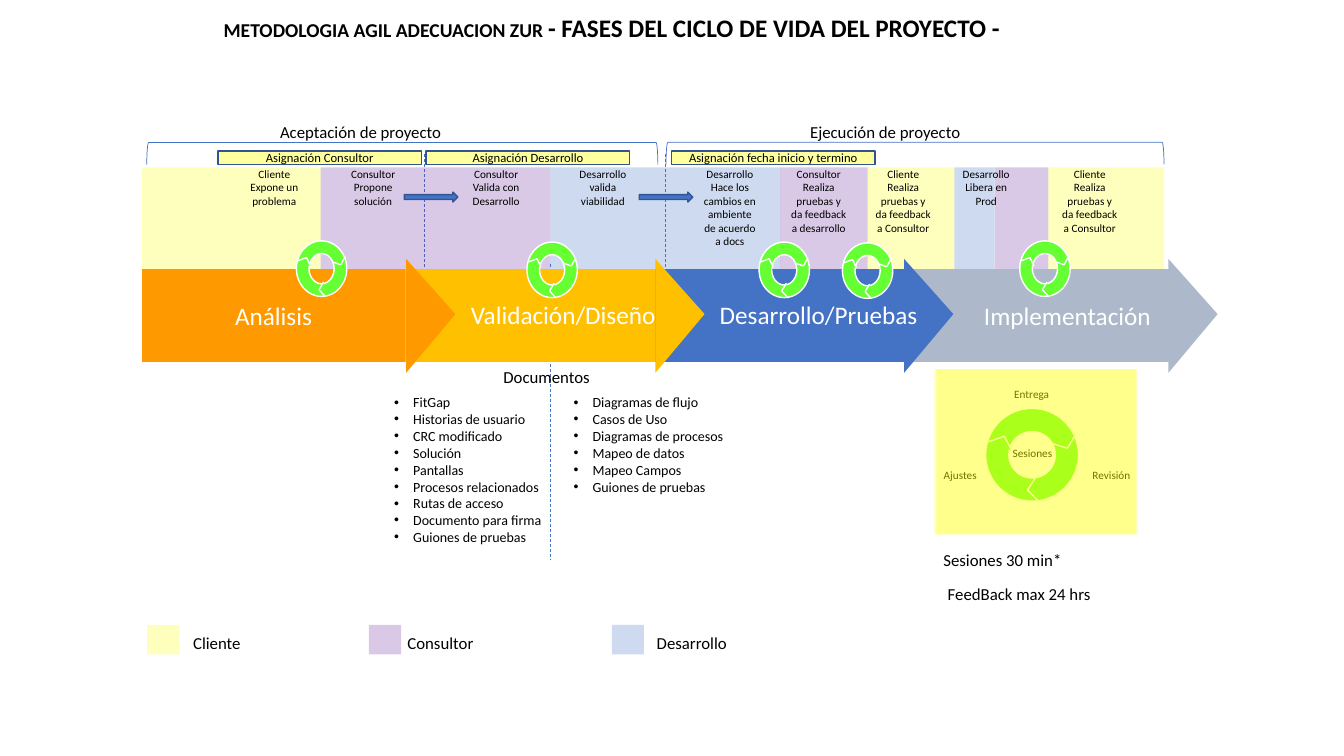
from lxml import etree
from pptx import Presentation
from pptx.dml.color import RGBColor
from pptx.enum.dml import MSO_LINE
from pptx.enum.shapes import MSO_CONNECTOR, MSO_SHAPE
from pptx.enum.text import MSO_ANCHOR, MSO_AUTO_SIZE, PP_ALIGN
from pptx.oxml.ns import qn
from pptx.util import Cm, Pt

RECT, DONUT = MSO_SHAPE.RECTANGLE, MSO_SHAPE.DONUT
TRIANGLE, ARROW = MSO_SHAPE.ISOSCELES_TRIANGLE, MSO_SHAPE.DOWN_ARROW
BRACKET = MSO_SHAPE.RIGHT_BRACKET
STRAIGHT, DASH = MSO_CONNECTOR.STRAIGHT, MSO_LINE.DASH
TOP, NO_FIT = MSO_ANCHOR.TOP, MSO_AUTO_SIZE.NONE
LEFT, CENTER = PP_ALIGN.LEFT, PP_ALIGN.CENTER

YELLOW, PURPLE, BLUE = "FFFF00", "7030A0", "4472C4"
ORANGE, GOLD, GRAY, GREEN = "FF9900", "FFC000", "ADB9CA", "66FF33"
WHITE, BLACK, NAVY = "FFFFFF", "000000", "325491"


def paint(shape, fill=None, alpha=100, edge=None, width=1):
    """Set fill, opacity in percent and outline, without shadow."""
    shape.shadow.inherit = False
    if fill:
        shape.fill.solid()
        shape.fill.fore_color.rgb = RGBColor.from_string(fill)
        if alpha < 100:
            color = shape.fill._xPr.find(qn("a:solidFill"))[0]
            etree.SubElement(color, qn("a:alpha")).set("val", str(alpha * 1000))
    else:
        shape.fill.background()
    if edge:
        shape.line.color.rgb = RGBColor.from_string(edge)
        shape.line.width = Pt(width)
    else:
        shape.line.fill.background()


def write(frame, lines, size, color=BLACK, align=CENTER, wrap=False):
    frame.word_wrap = wrap
    frame.auto_size = NO_FIT
    for i, line in enumerate(lines):
        para = frame.add_paragraph() if i else frame.paragraphs[0]
        para.text = line
        para.alignment = align
        para.space_before = Pt(0)
        para.font.size = Pt(size)
        para.font.name = "Calibri"
        para.font.color.rgb = RGBColor.from_string(color)


prs = Presentation()
prs.slide_width, prs.slide_height = Cm(33.87), Cm(19.05)
slide = prs.slides.add_slide(prs.slide_layouts[3])
shapes = slide.shapes
title, docs, tests = slide.placeholders

# Title
title.left, title.top, title.width, title.height = map(Cm, (5.38, 0.18, 26.04, 1.02))
title.text_frame.vertical_anchor = TOP
write(title.text_frame, ["METODOLOGIA AGIL ADECUACION ZUR "], 14, align=LEFT, wrap=True)
head = title.text_frame.paragraphs[0]
head.font.bold = True
tail = head.add_run()
tail.text = "- FASES DEL CICLO DE VIDA DEL PROYECTO -"
tail.font.size = Pt(18)

# Document lists
for body, x, width, height, items in (
    (docs, 9.68, 4.29, 4.11,
     ["FitGap", "Historias de usuario", "CRC modificado", "Solución", "Pantallas",
      "Procesos relacionados", "Rutas de acceso", "Documento para firma",
      "Guiones de pruebas"]),
    (tests, 14.2, 4.42, 2.82,
     ["Diagramas de flujo", "Casos de Uso", "Diagramas de procesos",
      "Mapeo de datos", "Mapeo Campos", "Guiones de pruebas"]),
):
    body.left, body.top, body.width, body.height = map(Cm, (x, 9.8, width, height))
    write(body.text_frame, items, 10, align=LEFT, wrap=True)
    for para in body.text_frame.paragraphs:
        props = para._p.get_or_add_pPr()
        props.set("marL", str(Cm(0.48)))
        props.set("indent", str(-Cm(0.48)))
        etree.SubElement(props, qn("a:buFont")).set("typeface", "Arial")
        etree.SubElement(props, qn("a:buChar")).set("char", "•")

# Dashed dividers
for x, top, end in ((13.87, 6.65, 14.12), (10.69, 3.89, 6.73), (16.76, 3.89, 6.73)):
    line = shapes.add_connector(STRAIGHT, Cm(x), Cm(top), Cm(x), Cm(end))
    line.line.color.rgb = RGBColor.from_string(BLUE)
    line.line.width = Pt(0.5)
    line.line.dash_style = DASH
    etree.SubElement(line._element.spPr, qn("a:effectLst"))

# Bands by role
edges = (3.58, 8.08, 13.87, 19.66, 21.87, 24.05, 25.07, 26.42, 29.34)
roles = (YELLOW, PURPLE, BLUE, PURPLE, YELLOW, BLUE, PURPLE, YELLOW)
for x, end, color in zip(edges, edges[1:], roles):
    paint(shapes.add_shape(RECT, Cm(x), Cm(4.22), Cm(end - x), Cm(4.9)), color, 26)

# Phase bars from last to first, then their arrow tips
phases = (
    (23.04, 6.5, 28.63, GRAY),
    (16.52, 6.5, 21.97, BLUE),
    (10.01, 6.5, 15.7, GOLD),
    (3.58, 6.63, 9.42, ORANGE),
)
for x, width, _, color in phases:
    bar = shapes.add_shape(RECT, Cm(x), Cm(6.78), Cm(width), Cm(2.34))
    paint(bar, color)
write(bar.text_frame, ["Análisis"], 18, WHITE)
for _, _, x, color in phases:
    tip = shapes.add_shape(TRIANGLE, Cm(x), Cm(7.34), Cm(2.87), Cm(1.24))
    tip.rotation = 90
    tip.adjustments[0] = 0.485
    paint(tip, color)

# Brackets and step arrows
for kind, x, y, width, height, fill, edge, weight in (
    (BRACKET, 9.86, -2.57, 0.56, 12.88, None, BLUE, 0.5),
    (BRACKET, 22.78, -2.41, 0.56, 12.55, None, BLUE, 0.5),
    (ARROW, 10.74, 4.29, 0.25, 1.35, BLUE, NAVY, 1),
    (ARROW, 16.66, 4.29, 0.25, 1.35, BLUE, NAVY, 1),
):
    mark = shapes.add_shape(kind, Cm(x), Cm(y), Cm(width), Cm(height))
    mark.rotation = 270
    paint(mark, fill, edge=edge, width=weight)

# Assignment tags
for x, text in ((5.49, "Asignación Consultor"), (10.74, "Asignación Desarrollo"),
                (16.92, "Asignación fecha inicio y termino")):
    tag = shapes.add_shape(RECT, Cm(x), Cm(3.81), Cm(5.13), Cm(0.33))
    paint(tag, YELLOW, 38, NAVY)
    write(tag.text_frame, [text], 9, wrap=True)

# Steps, with the number of lines each one takes
for x, rows, text in (
    (5.94, 3, "Cliente Expone un problema"),
    (8.43, 3, "Consultor Propone solución"),
    (11.53, 3, "Consultor Valida con Desarrollo"),
    (14.22, 3, "Desarrollo valida viabilidad"),
    (17.42, 6, "Desarrollo Hace los cambios en ambiente de acuerdo a docs"),
    (19.66, 5, "Consultor Realiza pruebas y da feedback a desarrollo"),
    (21.79, 5, "Cliente Realiza pruebas y da feedback a Consultor"),
    (23.88, 3, "Desarrollo Libera en Prod"),
    (26.49, 5, "Cliente Realiza pruebas y da feedback a Consultor"),
):
    step = shapes.add_textbox(Cm(x), Cm(4.09), Cm(1.95), Cm(0.24 + 0.34 * rows))
    write(step.text_frame, [text], 8, wrap=True)

# One-line labels
for x, y, width, height, size, color, text in (
    (11.58, 7.42, 5.23, 1.02, 18, WHITE, "Validación/Diseño"),
    (17.86, 7.42, 5.54, 1.02, 18, WHITE, "Desarrollo/Pruebas"),
    (24.51, 7.44, 4.78, 1.02, 18, WHITE, "Implementación"),
    (6.78, 2.95, 4.62, 0.76, 12, BLACK, "Aceptación de proyecto"),
    (20.14, 2.95, 4.34, 0.76, 12, BLACK, "Ejecución de proyecto"),
    (11.4, 9.12, 4.75, 0.76, 12, BLACK, "Documentos"),
    (23.5, 13.74, 3.53, 0.76, 12, BLACK, "Sesiones 30 min*"),
    (23.6, 14.58, 4.17, 0.76, 12, BLACK, "FeedBack max 24 hrs"),
    (4.6, 15.82, 1.73, 0.76, 12, BLACK, "Cliente"),
    (10.01, 15.82, 2.18, 0.76, 12, BLACK, "Consultor"),
    (16.28, 15.82, 2.31, 0.76, 12, BLACK, "Desarrollo"),
    (25.04, 11.13, 1.96, 0.61, 8, BLACK, "Sesiones"),
    (27.03, 11.68, 1.96, 0.61, 8, BLACK, "Revisión"),
    (23.22, 11.68, 1.96, 0.61, 8, BLACK, "Ajustes"),
    (25.02, 9.63, 1.96, 0.61, 8, BLACK, "Entrega"),
):
    label = shapes.add_textbox(Cm(x), Cm(y), Cm(width), Cm(height))
    write(label.text_frame, [text], size, color)

# Feedback cycles: a ring with three notches, as shares of its box
notches = (
    ((0.03, 0.36), (0.2, 0.3), (0.28, 0.45)),
    ((0.97, 0.28), (0.88, 0.43), (0.72, 0.38)),
    ((0.57, 1), (0.45, 0.88), (0.54, 0.74)),
)
for x, y, width, height in (
    (24.84, 10.29, 2.34, 2.34),
    (7.47, 6.07, 1.27, 1.4),
    (13.28, 6.1, 1.27, 1.4),
    (19.13, 6.1, 1.27, 1.4),
    (21.23, 6.12, 1.27, 1.4),
    (25.7, 6.07, 1.27, 1.4),
):
    ring = shapes.add_shape(DONUT, Cm(x), Cm(y), Cm(width), Cm(height))
    paint(ring, GREEN, edge=WHITE)
    for notch in notches:
        start, *rest = [(Cm(x + width * u), Cm(y + height * v)) for u, v in notch]
        chevron = shapes.build_freeform(*start)
        chevron.add_line_segments(rest, close=False)
        paint(chevron.convert_to_shape(), GREEN, edge=WHITE)

# Legend swatches and the two veils over the large cycle
for x, y, width, height, color in (
    (3.71, 15.75, 0.81, 0.74, YELLOW),
    (9.3, 15.75, 0.81, 0.74, PURPLE),
    (15.42, 15.75, 0.81, 0.74, BLUE),
    (23.55, 9.3, 5.08, 4.17, YELLOW),
    (23.6, 9.3, 5.08, 4.17, YELLOW),
):
    paint(shapes.add_shape(RECT, Cm(x), Cm(y), Cm(width), Cm(height)), color, 26)

prs.save("out.pptx")
